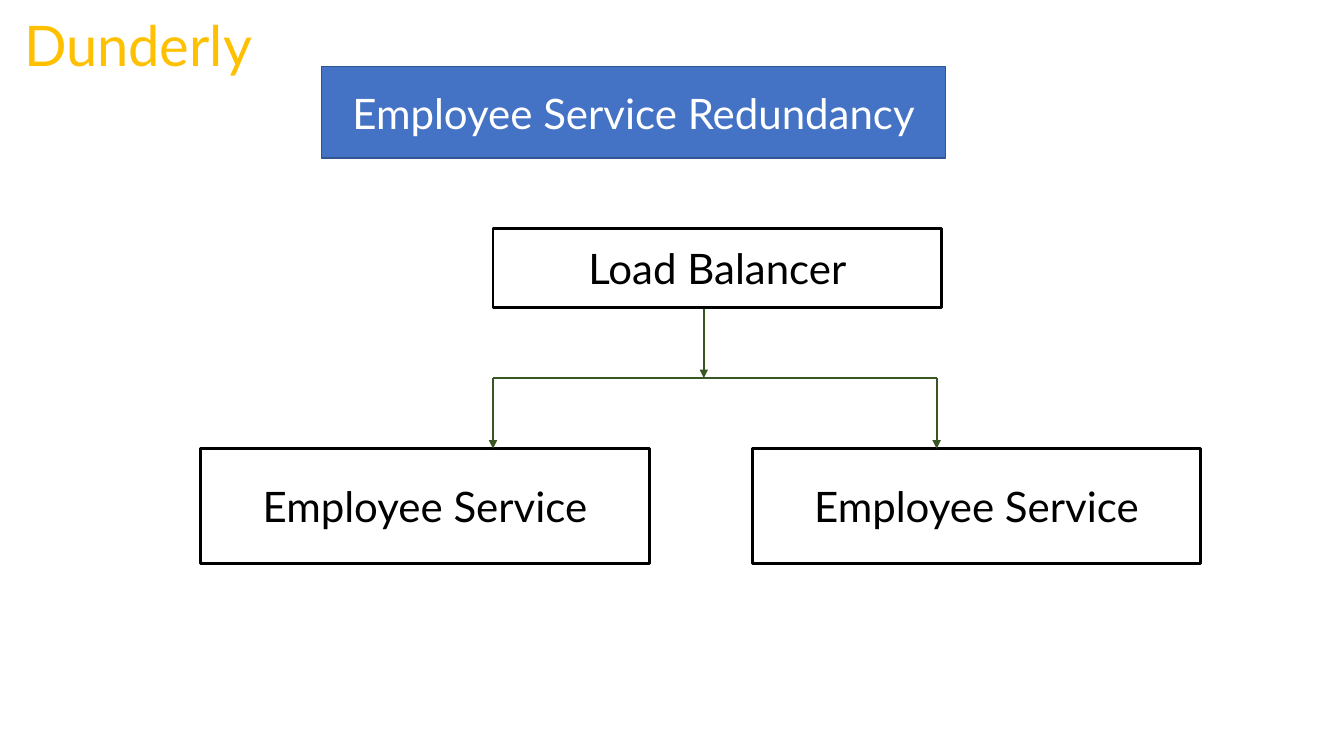
from pptx import Presentation
from pptx.dml.color import RGBColor
from pptx.enum import shapes, text
from pptx.oxml.ns import qn
from pptx.util import Inches, Pt
from lxml import etree

BLUE = RGBColor(0x44, 0x72, 0xC4)
NAVY = RGBColor(0x32, 0x54, 0x91)
GOLD = RGBColor(0xFF, 0xC0, 0x00)
GREEN = RGBColor(0x38, 0x57, 0x23)
BLACK = RGBColor(0, 0, 0)
WHITE = RGBColor(255, 255, 255)
FONT = "Lato"


def write(shape, words, size, color):
    para = shape.text_frame.paragraphs[0]
    para.text = words
    para.font.name = FONT
    para.font.size = Pt(size)
    para.font.color.rgb = color
    return para


def add_box(slide, box, words, color=BLACK, edge=BLACK, width=2, fill=None):
    rect = slide.shapes.add_shape(shapes.MSO_SHAPE.RECTANGLE, *map(Inches, box))
    rect.shadow.inherit = False
    if fill is None:
        rect.fill.background()
    else:
        rect.fill.solid()
        rect.fill.fore_color.rgb = fill
    rect.line.color.rgb = edge
    rect.line.width = Pt(width)
    rect.text_frame.word_wrap = True
    rect.text_frame.vertical_anchor = text.MSO_ANCHOR.MIDDLE
    write(rect, words, 30, color).alignment = text.PP_ALIGN.CENTER


def add_line(slide, x1, y1, x2, y2, arrow=True):
    line = slide.shapes.add_connector(
        shapes.MSO_CONNECTOR.STRAIGHT, *map(Inches, (x1, y1, x2, y2)))
    line.line.color.rgb = GREEN
    line.line.width = Pt(1.5)
    if arrow:
        etree.SubElement(line.line._get_or_add_ln(), qn("a:tailEnd"), type="triangle")
    etree.SubElement(line._element.spPr, qn("a:effectLst"))


def add_head(slide, left, top):
    """Brand name in the corner and the title banner beside it."""
    add_box(slide, (left + 3.05, top + 0.6, 6.19, 0.91),
            "Employee Service Redundancy", WHITE, NAVY, 1, BLUE)
    brand = slide.shapes.add_textbox(*map(Inches, (left, top, 2.75, 0.77)))
    brand.text_frame.word_wrap = True
    brand.text_frame.auto_size = text.MSO_AUTO_SIZE.SHAPE_TO_FIT_TEXT
    write(brand, "Dunderly", 40, GOLD)


def add_tree(slide, left, top):
    """Load balancer that branches to two services."""
    wide, tall, drop = 4.45, 0.78, 0.7
    foot = top + tall
    bar = foot + drop
    row = bar + drop
    ends = left + 2.9, left + 7.3
    for x, end in zip((left, left + 5.47), ends):
        add_box(slide, (x, row, wide, 1.14), "Employee Service")
        add_line(slide, end, bar, end, row)
    stem = left + 4.99
    add_line(slide, stem, foot, stem, bar)
    add_line(slide, ends[0], bar, ends[1], bar, arrow=False)
    add_box(slide, (ends[0], top, wide, tall), "Load Balancer")


def main():
    deck = Presentation()
    deck.slide_width = Inches(13.33)
    deck.slide_height = Inches(7.5)
    slide = deck.slides.add_slide(deck.slide_layouts[6])
    add_head(slide, 0.14, 0.06)
    add_tree(slide, 1.99, 2.27)
    deck.save("out.pptx")


if __name__ == "__main__":
    main()
